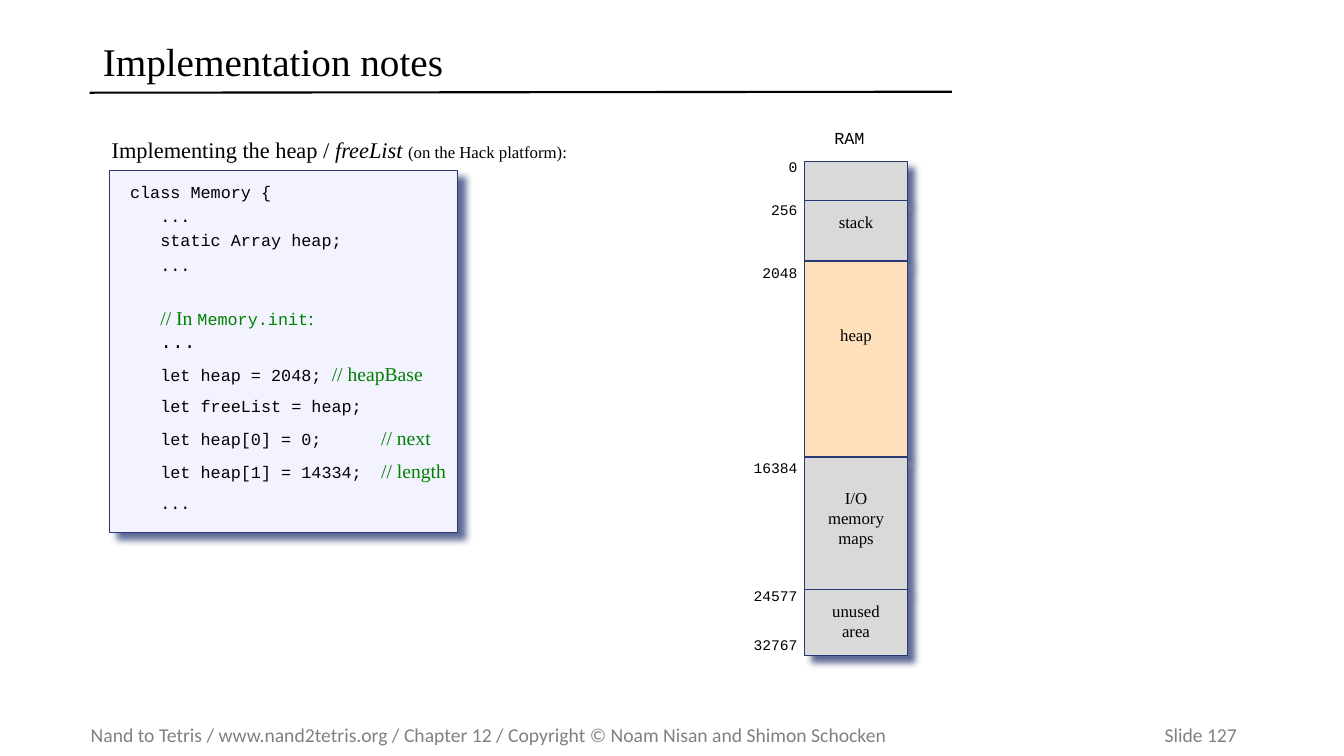
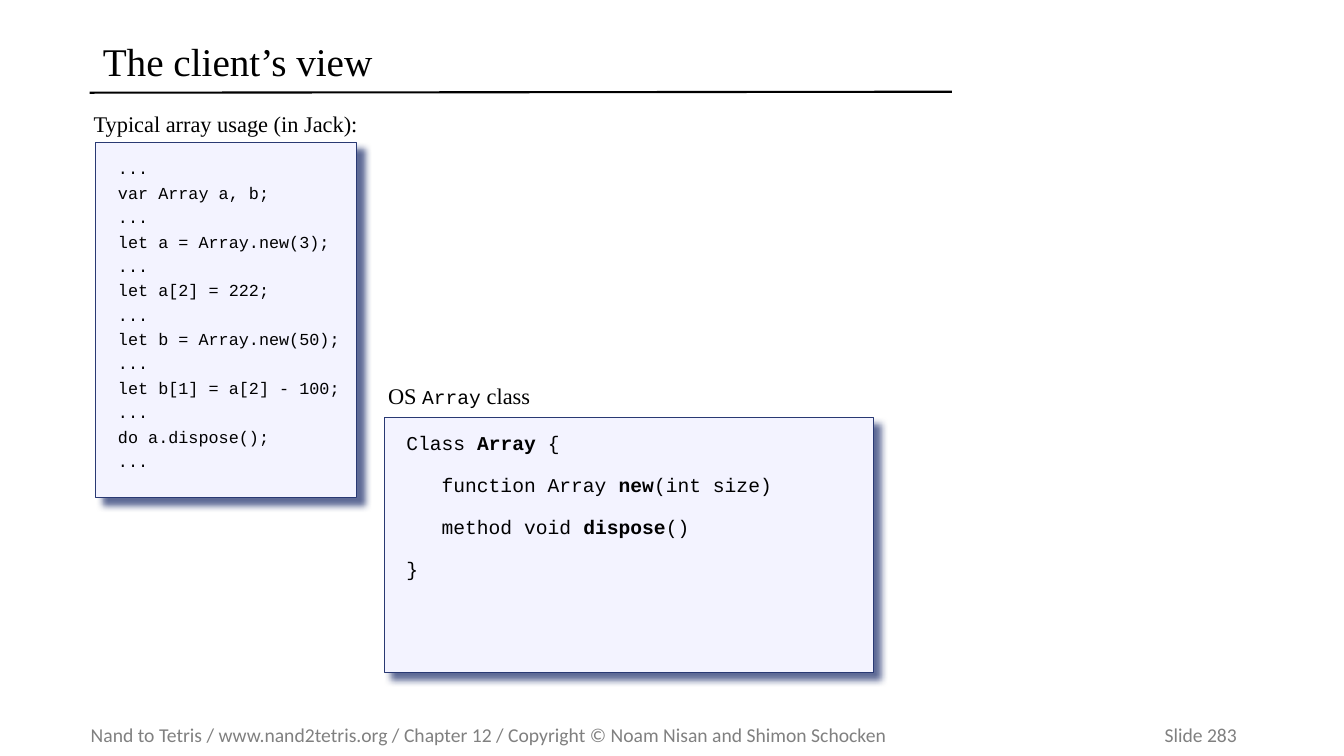
"""Build two slides on memory management and arrays in the Jack OS."""
from lxml import etree
from pptx import Presentation, util as u
from pptx.dml import color
from pptx.enum import shapes, text
from pptx.oxml import ns

BLACK, GREEN, GREY, NAVY = "000000", "008000", "808080", "293973"
CODE_FILL, RAM_FILL, HEAP_FILL = "F3F3FF", "D9D9D9", "FFE0BC"
SERIF, MONO, SANS = "Times New Roman", "Courier New", "Calibri"
LEFT, CENTER, RIGHT = text.PP_ALIGN.LEFT, text.PP_ALIGN.CENTER, text.PP_ALIGN.RIGHT
FOOTER = ("Nand to Tetris / www.nand2tetris.org / Chapter 12 / "
          "Copyright © Noam Nisan and Shimon Schocken")

STYLES = {
    "title": (SERIF, 28, BLACK, False, False),
    "heading": (SERIF, 16, BLACK, False, False),
    "heading italic": (SERIF, 16, BLACK, False, True),
    "label": (SERIF, 12, BLACK, False, False),
    "comment": (SERIF, 14, GREEN, False, False),
    "comment code": (MONO, 12, GREEN, False, False),
    "code": (MONO, 12, BLACK, False, False),
    "big code": (MONO, 14, BLACK, False, False),
    "big bold": (MONO, 14, BLACK, True, False),
    "address": (MONO, 10.5, BLACK, False, False),
    "footer": (SANS, 14, GREY, False, False),
}

MEMORY_CODE = [
    (0, [("class Memory {", "code")]),
    (3, [("   ...", "code")]),
    (3, [("   static Array heap;", "code")]),
    (3, [("   ...", "code")]),
    (22, [("   ", "code"), ("// In ", "comment"), ("Memory.init", "comment code"),
          (":", "comment")]),
    (0, [("   ", "code"), ("...", "big code")]),
    (7, [("   let heap = 2048; ", "code"), ("// heapBase", "comment")]),
    (7, [("   let freeList = heap;", "code")]),
    (7, [("   let heap[0] = 0;\t", "code"), ("// next", "comment")]),
    (7, [("   let heap[1] = 14334;\t", "code"), ("// length", "comment")]),
    (7, [("   ...", "code")]),
]
CLIENT_STEPS = ["var Array a, b;", "let a = Array.new(3);", "let a[2] = 222;",
                "let b = Array.new(50);", "let b[1] = a[2] - 100;", "do a.dispose();"]
ARRAY_CODE = [
    (0, [("Class ", "big code"), ("Array", "big bold"), (" {", "big code")]),
    (15, [("   function Array ", "big code"), ("new", "big bold"), ("(int size)", "big code")]),
    (15, [("   method void ", "big code"), ("dispose", "big bold"), ("()", "big code")]),
    (15, [("}", "big code")]),
]
RAM_SEGMENTS = [
    (0, 0.39, RAM_FILL, 0.11, []),
    (0.39, 0.6, RAM_FILL, 0.11, ["stack"]),
    (0.99, 1.94, HEAP_FILL, 0.63, ["heap"]),
    (2.94, 1.31, RAM_FILL, 0.3, ["I/O", "memory", "maps"]),
    (4.25, 0.65, RAM_FILL, 0.11, ["unused", "area"]),
]
RAM_ADDRESSES = [(-0.14, "0"), (0.28, "256"), (0.91, "2048"), (2.84, "16384"),
                 (4.11, "24577"), (4.6, "32767")]


def rgb(value):
    """Turn a hex string into a colour."""
    return color.RGBColor.from_string(value)


def inches(*values):
    """Turn numbers into lengths."""
    return [u.Inches(v) for v in values]


def add_tab(p, position):
    """Give a paragraph one left tab stop."""
    tabs = etree.SubElement(p._p.get_or_add_pPr(), ns.qn("a:tabLst"))
    etree.SubElement(tabs, ns.qn("a:tab"), pos=str(u.Inches(position)), algn="l")


def write(tf, lines, insets=(0.1, 0.05, 0.1, 0.05), align=LEFT, anchor=text.MSO_ANCHOR.TOP,
          spacing=None, tab=None):
    """Fill a text frame with styled lines of (space before, runs)."""
    tf.word_wrap = True
    tf.auto_size = text.MSO_AUTO_SIZE.NONE
    tf.vertical_anchor = anchor
    tf.margin_left, tf.margin_top, tf.margin_right, tf.margin_bottom = inches(*insets)
    for i, (before, runs) in enumerate(lines):
        p = tf.add_paragraph() if i else tf.paragraphs[0]
        if tab and any("\t" in words for words, _ in runs):
            add_tab(p, tab)
        p.alignment = align
        p.space_before = u.Pt(before)
        if spacing:
            p.line_spacing = spacing
        for words, style in runs:
            r = p.add_run()
            r.text = words
            font, size, tint, bold, italic = STYLES[style]
            r.font.name, r.font.size = font, u.Pt(size)
            r.font.bold, r.font.italic = bold, italic
            r.font.color.rgb = rgb(tint)


def add_text(parent, box, runs, **options):
    """Add a one-line text box."""
    tb = parent.shapes.add_textbox(*inches(*box))
    write(tb.text_frame, [(0, runs)], **options)


def add_panel(parent, box, fill, lines, **options):
    """Add a bordered rectangle with a soft shadow and text."""
    sp = parent.shapes.add_shape(shapes.MSO_SHAPE.RECTANGLE, *inches(*box))
    sp.fill.solid()
    sp.fill.fore_color.rgb = rgb(fill)
    sp.line.color.rgb = rgb(NAVY)
    sp.line.width = u.Pt(0.75)
    sp.shadow.inherit = False
    effects = sp.element.spPr.find(ns.qn("a:effectLst"))
    shadow = etree.SubElement(effects, ns.qn("a:outerShdw"), blurRad=str(u.Pt(5)),
                              dist=str(u.Pt(7.1)), dir="2700000", algn="ctr", rotWithShape="0")
    tint = etree.SubElement(shadow, ns.qn("a:srgbClr"), val=NAVY)
    etree.SubElement(tint, ns.qn("a:alpha"), val="75000")
    write(sp.text_frame, lines, **options)


def add_slide(prs, title, number):
    """Add a slide with the shared title, rule and footer."""
    s = prs.slides.add_slide(prs.slide_layouts[5])
    add_text(s, (0.9, 7.12, 12.25, 0.34), [(f"{FOOTER}\tSlide {number}", "footer")],
             insets=(0, 0.05, 0, 0.05), anchor=text.MSO_ANCHOR.MIDDLE, tab=10.65)
    rule = s.shapes.add_connector(shapes.MSO_CONNECTOR.STRAIGHT, *inches(0.89, 0.92, 9.44, 0.91))
    rule.line.color.rgb = rgb(BLACK)
    rule.line.width = u.Pt(1.5)
    etree.SubElement(rule.element.spPr, ns.qn("a:effectLst"))
    t = s.shapes.title
    t.left, t.top, t.width, t.height = inches(0.92, 0.32, 8.53, 0.63)
    write(t.text_frame, [(0, [(title, "title")])], anchor=text.MSO_ANCHOR.MIDDLE, spacing=0.9)
    return s


def add_ram(s, left, top, width):
    """Draw the RAM map with its caption, segments and addresses."""
    ram = s.shapes.add_group_shape()
    for y, height, fill, inset, names in RAM_SEGMENTS:
        add_panel(ram, (left, top + y, width, height), fill,
                  [(0, [(name, "label")]) for name in names],
                  insets=(0, inset, 0, 0.11), align=CENTER)
    label_insets = (0.2, 0.11, 0, 0.11)
    add_text(ram, (left - 0.44, top - 0.44, 1.57, 0.46), [("RAM", "code")],
             insets=label_insets, align=CENTER)
    for y, address in RAM_ADDRESSES:
        add_text(ram, (left - 1.64, top + y, 1.57, 0.46), [(address, "address")],
                 insets=label_insets, align=RIGHT)


def add_listing(s, box, caption_box, caption, lines, **options):
    """Add a code panel and its caption."""
    add_panel(s, box, CODE_FILL, lines, **options)
    add_text(s, caption_box, caption)


def add_heap_slide(prs):
    """Build the slide on the heap and its place in RAM."""
    s = add_slide(prs, "Implementation notes", 127)
    add_ram(s, 7.98, 1.6, 1.02)
    add_listing(s, (1.09, 1.69, 3.45, 3.59), (1.01, 1.3, 5.2, 0.42),
                [("Implementing the heap / ", "heading"), ("freeList ", "heading italic"),
                 ("(on the Hack platform):", "label")],
                MEMORY_CODE, insets=(0.2, 0.11, 0, 0.11), tab=2.49)


def add_client_slide(prs):
    """Build the slide on array usage and the Array class."""
    s = add_slide(prs, "The client’s view", 283)
    insets = (0.22, 0.16, 0, 0.21)
    steps = ["..."] + [line for step in CLIENT_STEPS for line in (step, "...")]
    usage = [(3 if i else 0, [(line, "code")]) for i, line in enumerate(steps)]
    add_listing(s, (0.95, 1.41, 2.59, 3.53), (0.83, 1.04, 3.71, 0.37),
                [("Typical array usage (in Jack):", "heading")], usage, insets=insets)
    add_listing(s, (3.81, 4.14, 4.85, 2.53), (3.75, 3.74, 3.71, 0.37),
                [("OS ", "heading"), ("Array", "big code"), (" class", "heading")],
                ARRAY_CODE, insets=insets, spacing=0.9)


def main():
    """Build and save the presentation."""
    prs = Presentation()
    prs.slide_width, prs.slide_height = inches(13.33, 7.5)
    add_heap_slide(prs)
    add_client_slide(prs)
    prs.save("out.pptx")


if __name__ == "__main__":
    main()
